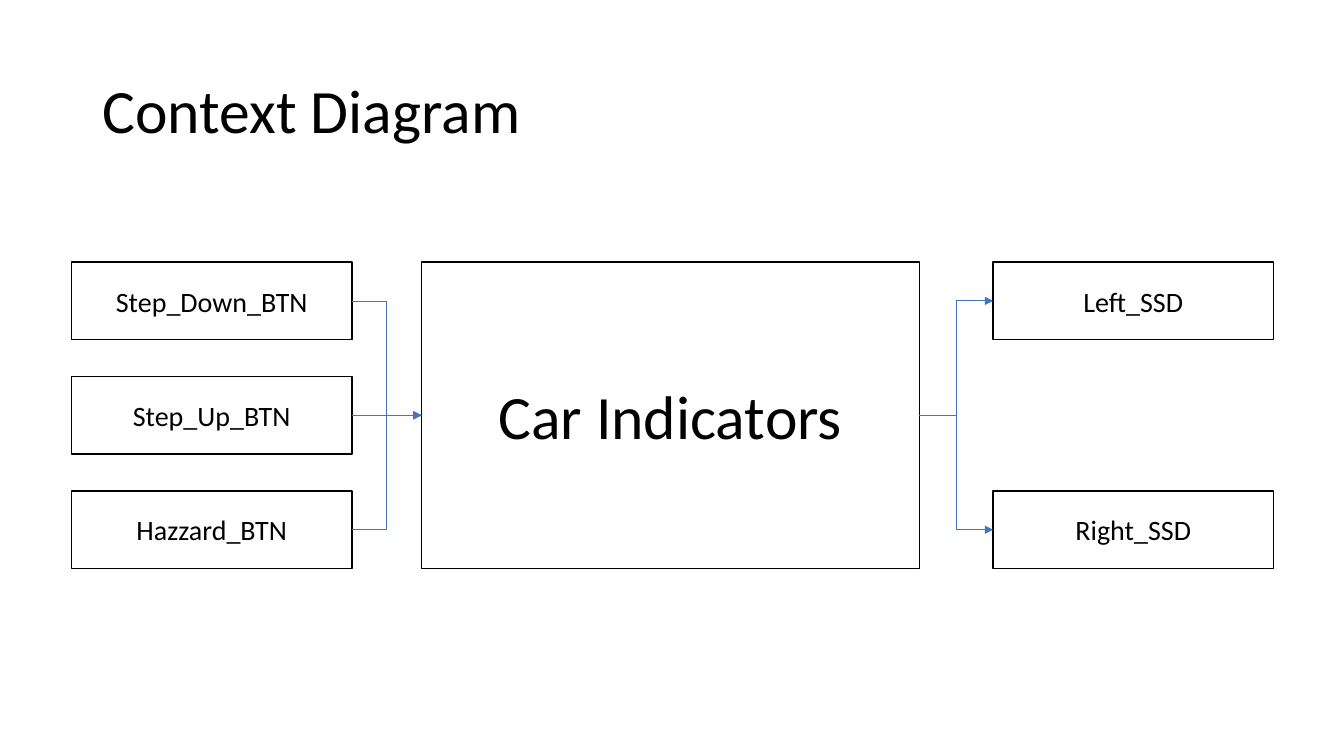
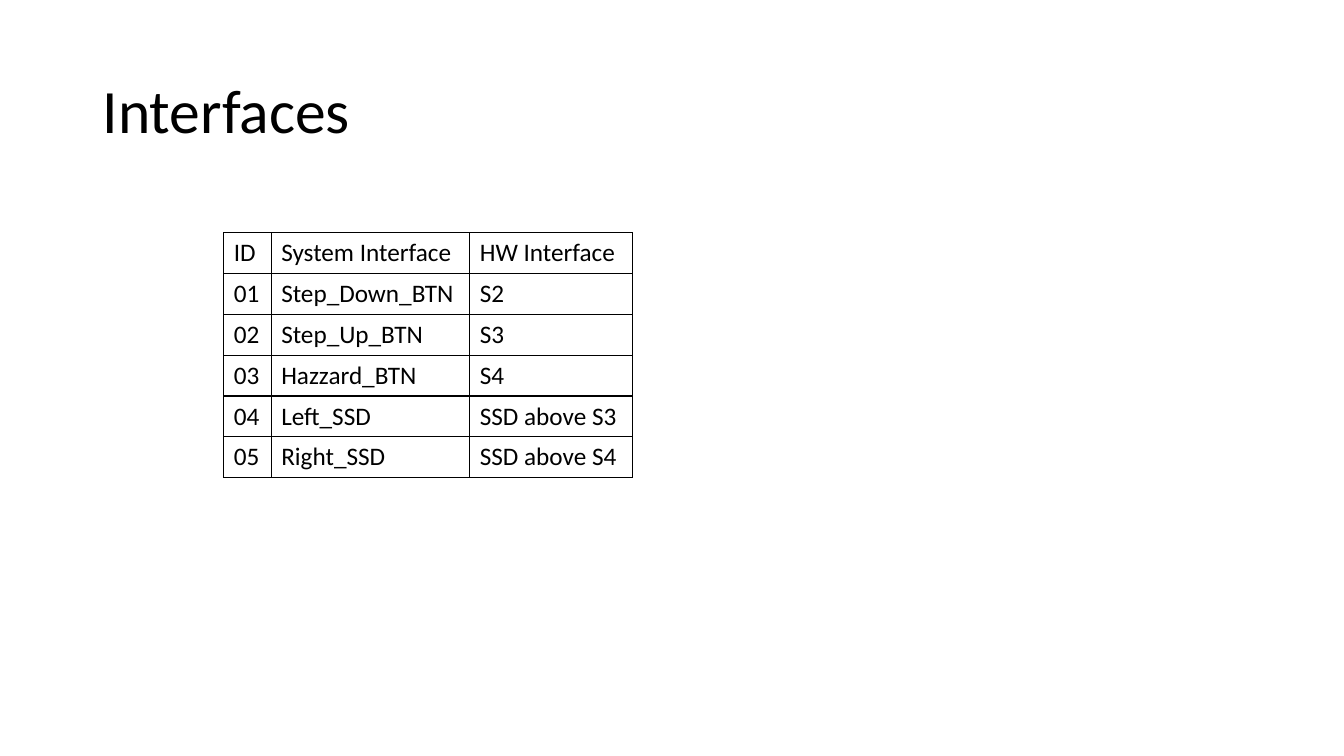
import pptx
import pptx.dml.color
import pptx.enum.shapes
import pptx.enum.text
import pptx.oxml
import pptx.oxml.ns
import pptx.util
from lxml import etree

INPUTS = ["Step_Down_BTN", "Step_Up_BTN", "Hazzard_BTN"]
SYSTEM = "Car Indicators"
OUTPUTS = ["Left_SSD", "Right_SSD"]
INTERFACES = [
    ("ID", "System Interface", "HW Interface"),
    ("01", "Step_Down_BTN", "S2"),
    ("02", "Step_Up_BTN", "S3"),
    ("03", "Hazzard_BTN", "S4"),
    ("04", "Left_SSD", "SSD above S3"),
    ("05", "Right_SSD", "SSD above S4"),
]

WIDTH, HEIGHT = 13.33, 7.5
BLACK, WHITE, BLUE = "000000", "FFFFFF", "4472C4"
FONT = "Calibri"
TITLE_SIZE, LABEL_SIZE, CELL_SIZE = 44, 20, 18
TITLE_AREA = (0.92, 0.4, 11.5, 1.45)

DIAGRAM_TOP, DIAGRAM_HEIGHT = 2.6, 3.04
INPUT_LEFT, SYSTEM_LEFT, OUTPUT_LEFT = 0.71, 4.18, 9.85
SYSTEM_WIDTH, PORT_WIDTH, PORT_HEIGHT = 4.94, 2.78, 0.77
LEFT_SIDE, RIGHT_SIDE = 1, 3

TABLE_LEFT, TABLE_TOP = 2.22, 2.31
COLUMN_WIDTHS = (0.47, 1.97, 1.61)
ROW_HEIGHT = 0.405

ELBOW = pptx.enum.shapes.MSO_CONNECTOR.ELBOW
STRAIGHT = pptx.enum.shapes.MSO_CONNECTOR.STRAIGHT
MIDDLE = pptx.enum.text.MSO_ANCHOR.MIDDLE
CENTER = pptx.enum.text.PP_ALIGN.CENTER


def colour(value):
    return pptx.dml.color.RGBColor.from_string(value)


def inches(*lengths):
    return [pptx.util.Inches(length) for length in lengths]


def write(frame, text, size, **paragraph_format):
    para = frame.paragraphs[0]
    span = para.add_run()
    span.text = text
    span.font.color.rgb = colour(BLACK)
    for name, value in {"name": FONT, "size": pptx.util.Pt(size)}.items():
        setattr(span.font, name, value)
    for name, value in paragraph_format.items():
        setattr(para, name, value)


def add_page(deck, title):
    page = deck.slides.add_slide(deck.slide_layouts[6])
    frame = page.shapes.add_textbox(*inches(*TITLE_AREA)).text_frame
    frame.word_wrap = True
    frame.vertical_anchor = MIDDLE
    write(frame, title, TITLE_SIZE, line_spacing=0.9)
    return page


def add_box(page, text, size, *area):
    box = page.shapes.add_shape(pptx.enum.shapes.MSO_SHAPE.RECTANGLE, *inches(*area))
    box.shadow.inherit = False
    box.fill.solid()
    box.fill.fore_color.rgb = colour(WHITE)
    box.line.color.rgb = colour(BLACK)
    box.line.width = pptx.util.Pt(1)
    box.text_frame.vertical_anchor = MIDDLE
    write(box.text_frame, text, size, alignment=CENTER)
    return box


def add_ports(page, labels, left):
    """Spread the boxes evenly over the full height of the diagram."""
    pitch = (DIAGRAM_HEIGHT - PORT_HEIGHT) / (len(labels) - 1)
    return [
        add_box(page, label, LABEL_SIZE, left, DIAGRAM_TOP + row * pitch,
                PORT_WIDTH, PORT_HEIGHT)
        for row, label in enumerate(labels)
    ]


def add_arrow(page, source, target):
    """Lead from the right side of one box to the left side of another."""
    offset = (source.top + source.height // 2) - (target.top + target.height // 2)
    level = abs(offset) < pptx.util.Inches(0.02)
    arrow = page.shapes.add_connector(STRAIGHT if level else ELBOW, 0, 0, 0, 0)
    arrow.begin_connect(source, RIGHT_SIDE)
    arrow.end_connect(target, LEFT_SIDE)
    arrow.line.color.rgb = colour(BLUE)
    arrow.line.width = pptx.util.Pt(0.5)
    line = arrow.line._get_or_add_ln()
    etree.SubElement(line, pptx.oxml.ns.qn("a:tailEnd"), type="triangle")
    etree.SubElement(arrow._element.spPr, pptx.oxml.ns.qn("a:effectLst"))


def add_borders(cell):
    properties = cell._tc.get_or_add_tcPr()
    for side in ("lnL", "lnR", "lnT", "lnB"):
        properties.append(pptx.oxml.parse_xml(
            f'<a:{side} {pptx.oxml.ns.nsdecls("a")} w="12700"><a:solidFill>'
            f'<a:srgbClr val="{BLACK}"/></a:solidFill></a:{side}>'))


def build_context(deck):
    page = add_page(deck, "Context Diagram")
    system = add_box(page, SYSTEM, TITLE_SIZE, SYSTEM_LEFT, DIAGRAM_TOP,
                     SYSTEM_WIDTH, DIAGRAM_HEIGHT)
    for port in add_ports(page, INPUTS, INPUT_LEFT):
        add_arrow(page, port, system)
    for port in add_ports(page, OUTPUTS, OUTPUT_LEFT):
        add_arrow(page, system, port)


def build_interfaces(deck):
    page = add_page(deck, "Interfaces")
    area = inches(TABLE_LEFT, TABLE_TOP, sum(COLUMN_WIDTHS), ROW_HEIGHT * len(INTERFACES))
    table = page.shapes.add_table(len(INTERFACES), len(COLUMN_WIDTHS), *area).table
    table.first_row = table.horz_banding = False
    for column, width in zip(table.columns, inches(*COLUMN_WIDTHS)):
        column.width = width
    for row, texts in zip(table.rows, INTERFACES):
        for cell, text in zip(row.cells, texts):
            add_borders(cell)
            cell.fill.background()
            write(cell.text_frame, text, CELL_SIZE)


def main():
    deck = pptx.Presentation()
    deck.slide_width, deck.slide_height = inches(WIDTH, HEIGHT)
    build_context(deck)
    build_interfaces(deck)
    deck.save("out.pptx")


if __name__ == "__main__":
    main()
